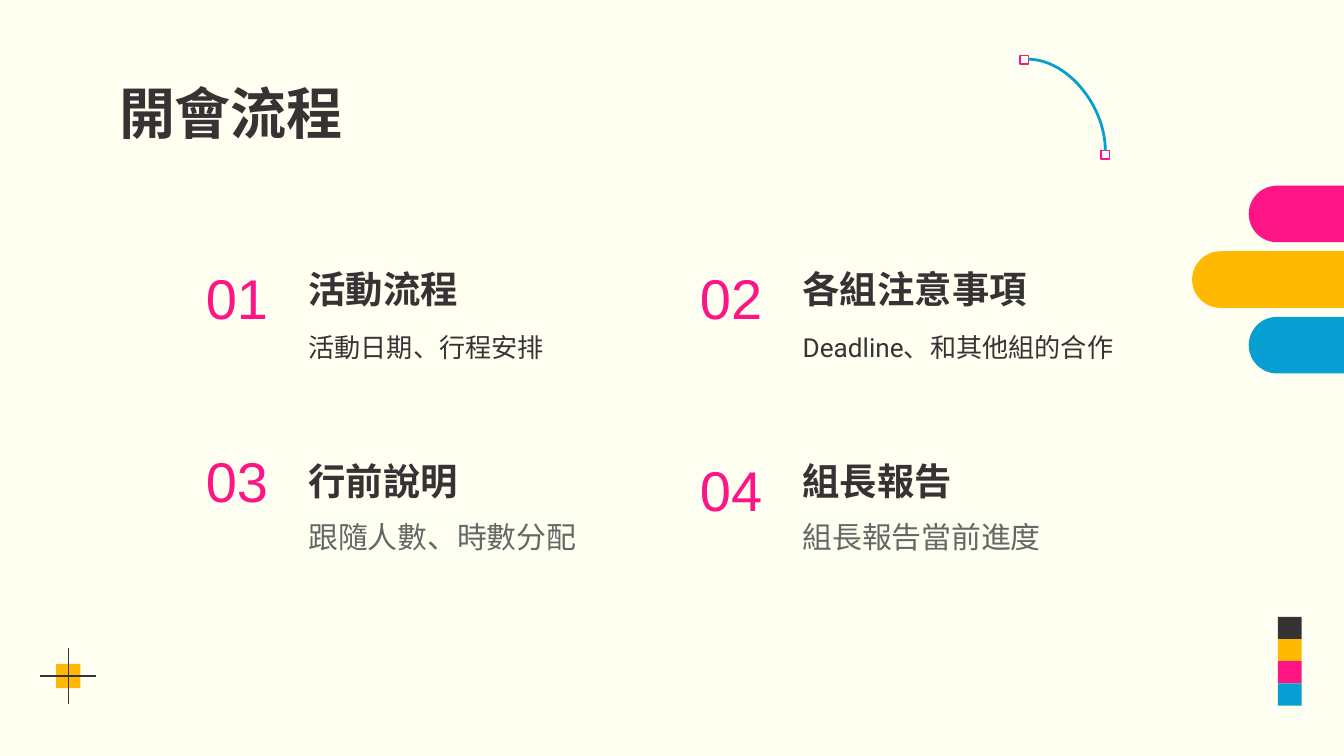
from dataclasses import dataclass

import pptx
import pptx.dml.color
import pptx.enum.shapes
import pptx.enum.text
import pptx.oxml.ns
import pptx.oxml.xmlchemy
import pptx.util
from pptx.util import Cm, Pt

RGBColor = pptx.dml.color.RGBColor
Anchor = pptx.enum.text.MSO_ANCHOR
Shape = pptx.enum.shapes.MSO_SHAPE
Connector = pptx.enum.shapes.MSO_CONNECTOR

CREAM = RGBColor(0xFF, 0xFF, 0xF1)
DARK = RGBColor(0x35, 0x33, 0x34)
GRAY = RGBColor(0x66, 0x66, 0x66)
PINK = RGBColor(0xFD, 0x14, 0x85)
YELLOW = RGBColor(0xFF, 0xB9, 0x03)
BLUE = RGBColor(0x07, 0x9E, 0xD2)


@dataclass
class Style:
    size: int
    color: RGBColor
    font: str = "Arial"
    bold: bool = False
    anchor: Anchor = Anchor.TOP
    spacing: float = 1.0


@dataclass
class AgendaItem:
    number: str
    heading: str
    detail: str
    left: float
    number_top: float
    heading_top: float
    detail_top: float
    detail_style: Style


TITLE = Style(30, DARK, bold=True)
NUMBER = Style(30, PINK, anchor=Anchor.BOTTOM)
HEADING = Style(20, DARK, bold=True, anchor=Anchor.BOTTOM, spacing=1.15)
DETAIL = Style(14, DARK, "Roboto", spacing=1.15)
DETAIL_GRAY = Style(16, GRAY, "Roboto", spacing=1.15)

LEFT, RIGHT = 3.64, 12.98
AGENDA = [
    AgendaItem("01", "活動流程", "活動日期、行程安排", LEFT, 4.72, 5.11, 5.92, DETAIL),
    AgendaItem("02", "各組注意事項", "Deadline、和其他組的合作", RIGHT, 4.72, 5.11, 5.92, DETAIL),
    AgendaItem("03", "行前說明", "跟隨人數、時數分配", LEFT, 8.18, 8.74, 9.45, DETAIL_GRAY),
    AgendaItem("04", "組長報告", "組長報告當前進度", RIGHT, 8.36, 8.74, 9.45, DETAIL_GRAY),
]


def add_text(s, text: str, x: float, y: float, w: float, h: float, style: Style) -> None:
    tf = s.shapes.add_textbox(Cm(x), Cm(y), Cm(w), Cm(h)).text_frame
    tf.word_wrap = True
    tf.vertical_anchor = style.anchor
    tf.margin_left = tf.margin_right = tf.margin_top = tf.margin_bottom = Cm(0.25)
    p = tf.paragraphs[0]
    p.text = text
    p.line_spacing = style.spacing
    p.font.name = style.font
    p.font.size = Pt(style.size)
    p.font.bold = style.bold
    p.font.color.rgb = style.color


def add_block(s, kind: Shape, x: float, y: float, w: float, h: float, color: RGBColor):
    sp = s.shapes.add_shape(kind, Cm(x), Cm(y), Cm(w), Cm(h))
    sp.shadow.inherit = False
    sp.fill.solid()
    sp.fill.fore_color.rgb = color
    sp.line.fill.background()
    return sp


def add_line(s, kind: Connector, x1: float, y1: float, x2: float, y2: float,
             color: RGBColor, width: float):
    line = s.shapes.add_connector(kind, Cm(x1), Cm(y1), Cm(x2), Cm(y2))
    line.line.color.rgb = color
    line.line.width = Pt(width)
    line._element.spPr.append(pptx.oxml.xmlchemy.OxmlElement("a:effectLst"))
    return line


def add_agenda_item(s, item: AgendaItem) -> None:
    text_left = item.left + 1.94
    add_text(s, item.number, item.left, item.number_top, 1.93, 1.78, NUMBER)
    add_text(s, item.heading, text_left, item.heading_top, 6.86, 1.02, HEADING)
    add_text(s, item.detail, text_left, item.detail_top, 6.86, 1.68, item.detail_style)


def main() -> None:
    prs = pptx.Presentation()
    prs.slide_width, prs.slide_height = Cm(25.4), Cm(14.29)
    s = prs.slides.add_slide(prs.slide_layouts[6])
    s.background.fill.solid()
    s.background.fill.fore_color.rgb = CREAM

    # Crosshair, bottom left
    cx, cy, arm, half = 1.29, 12.78, 0.53, 0.23
    add_block(s, Shape.RECTANGLE, cx - half, cy - half, 2 * half, 2 * half, YELLOW)
    add_line(s, Connector.STRAIGHT, cx, cy - arm, cx, cy + arm, DARK, 0.75)
    add_line(s, Connector.STRAIGHT, cx - arm, cy, cx + arm, cy, DARK, 0.75)

    # Colour swatches, bottom right
    for i, color in enumerate([DARK, YELLOW, PINK, BLUE]):
        add_block(s, Shape.RECTANGLE, 24.15, 11.66 + 0.42 * i, 0.45, 0.42, color)

    # Rounded bars running off the right edge
    for i, (x, color) in enumerate([(23.6, PINK), (22.53, YELLOW), (23.6, BLUE)]):
        bar = add_block(s, Shape.ROUNDED_RECTANGLE, x, 3.51 + 1.24 * i, 4.19, 1.07, color)
        bar.adjustments[0] = 0.5

    # Title and agenda
    add_text(s, "開會流程", 2.0, 1.24, 21.41, 1.6, TITLE)
    for item in AGENDA:
        add_agenda_item(s, item)

    # Arc with a handle at each end
    for x, y in [(19.28, 1.05), (20.81, 2.85)]:
        handle = add_block(s, Shape.RECTANGLE, x, y, 0.16, 0.16, PINK)
        handle.fill.background()
        handle.line.color.rgb = PINK
        handle.line.width = Pt(0.75)
    arc = add_line(s, Connector.CURVE, 19.43, 1.12, 20.89, 2.85, BLUE, 1.5)
    arc._element.spPr.find(pptx.oxml.ns.qn("a:prstGeom")).set("prst", "curvedConnector2")

    prs.save("out.pptx")


if __name__ == "__main__":
    main()
